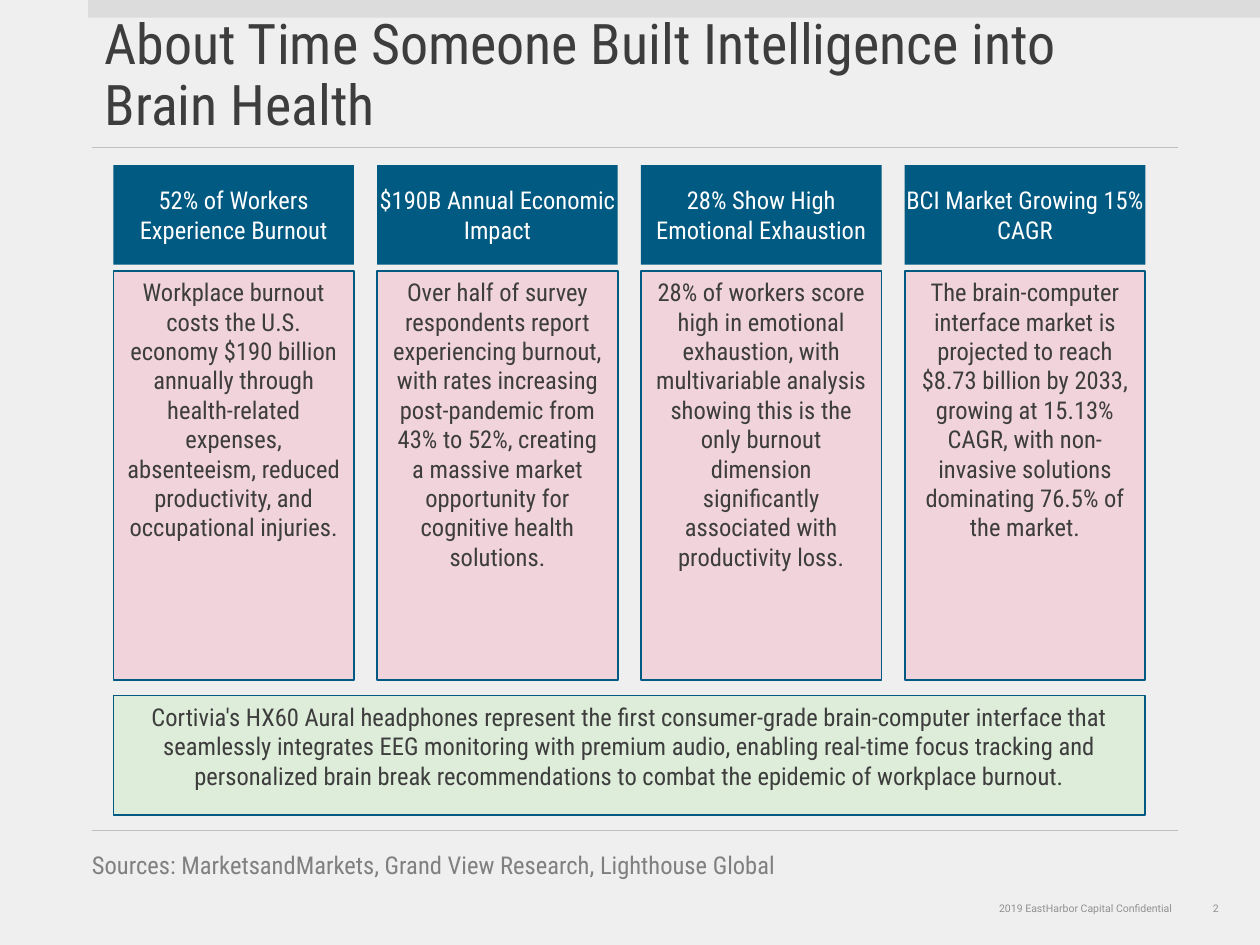
from dataclasses import dataclass

from lxml import etree
from pptx import Presentation
from pptx.dml.color import RGBColor
from pptx.enum.shapes import MSO_CONNECTOR, MSO_SHAPE
from pptx.enum.text import MSO_ANCHOR, MSO_AUTO_SIZE, PP_ALIGN
from pptx.oxml.ns import qn
from pptx.util import Inches, Pt

RECTANGLE = MSO_SHAPE.RECTANGLE
STRAIGHT = MSO_CONNECTOR.STRAIGHT
TOP, MIDDLE, BOTTOM = MSO_ANCHOR.TOP, MSO_ANCHOR.MIDDLE, MSO_ANCHOR.BOTTOM
LEFT, CENTER = PP_ALIGN.LEFT, PP_ALIGN.CENTER
NO_AUTOFIT = MSO_AUTO_SIZE.NONE
TITLE_ONLY = 5


@dataclass(frozen=True)
class Theme:
    background: str = "EFEFEF"
    band: str = "DCDCDC"
    rule: str = "BFBFBF"
    accent: str = "005A82"
    pink: str = "F783A3"
    green: str = "ACEA9B"
    text: str = "3D3D3D"
    white: str = "FFFFFF"
    source: str = "808080"
    footer: str = "919191"
    font: str = "Roboto Condensed"
    footer_font: str = "Roboto"
    title_size: int = 32
    body_size: int = 14
    footer_size: int = 6
    tint_opacity: int = 25


THEME = Theme()

TITLE = "About Time Someone Built Intelligence into Brain Health"
COLUMNS = [
    (
        "52% of Workers Experience Burnout",
        "Workplace burnout costs the U.S. economy $190 billion annually through "
        "health-related expenses, absenteeism, reduced productivity, and "
        "occupational injuries.",
    ),
    (
        "$190B Annual Economic Impact",
        "Over half of survey respondents report experiencing burnout, with rates "
        "increasing post-pandemic from 43% to 52%, creating a massive market "
        "opportunity for cognitive health solutions.",
    ),
    (
        "28% Show High Emotional Exhaustion",
        "28% of workers score high in emotional exhaustion, with multivariable "
        "analysis showing this is the only burnout dimension significantly "
        "associated with productivity loss.",
    ),
    (
        "BCI Market Growing 15% CAGR",
        "The brain-computer interface market is projected to reach $8.73 billion "
        "by 2033, growing at 15.13% CAGR, with non-invasive solutions dominating "
        "76.5% of the market.",
    ),
]
SUMMARY = (
    "Cortivia's HX60 Aural headphones represent the first consumer-grade "
    "brain-computer interface that seamlessly integrates EEG monitoring with "
    "premium audio, enabling real-time focus tracking and personalized brain "
    "break recommendations to combat the epidemic of workplace burnout."
)
SOURCES = "Sources: MarketsandMarkets, Grand View Research, Lighthouse Global"
FOOTER = "2019 EastHarbor Capital Confidential"

CONTENT_LEFT = 0.9
CONTENT_WIDTH = 8.19
COLUMN_WIDTH = 1.91
COLUMN_PITCH = (CONTENT_WIDTH - COLUMN_WIDTH) / (len(COLUMNS) - 1)
RULE_LEFT, RULE_RIGHT = 0.73, 9.35


def color(value):
    return RGBColor.from_string(value)


def write_text(frame, text, fill, size=THEME.body_size, font=THEME.font,
               align=LEFT, anchor=TOP, margins=(0, 0), wrap=True):
    frame.word_wrap = wrap
    frame.auto_size = NO_AUTOFIT
    frame.vertical_anchor = anchor
    frame.margin_left = frame.margin_right = Inches(margins[0])
    frame.margin_top = frame.margin_bottom = Inches(margins[1])
    paragraph = frame.paragraphs[0]
    paragraph.text = text
    paragraph.alignment = align
    paragraph.font.name = font
    paragraph.font.size = Pt(size)
    paragraph.font.color.rgb = color(fill)
    return paragraph


def add_block(slide, box, fill):
    shape = slide.shapes.add_shape(RECTANGLE, *map(Inches, box))
    shape.shadow.inherit = False
    shape.fill.solid()
    shape.fill.fore_color.rgb = color(fill)
    shape.line.fill.background()
    return shape


def add_header(slide, box, text):
    shape = add_block(slide, box, THEME.accent)
    write_text(shape.text_frame, text, THEME.white, align=CENTER, anchor=MIDDLE)


def add_panel(slide, box, text, fill):
    shape = add_block(slide, box, fill)
    fill_color = shape.fill._xPr.find(qn("a:solidFill"))[0]
    alpha = etree.SubElement(fill_color, qn("a:alpha"))
    alpha.set("val", str(THEME.tint_opacity * 1000))
    shape.line.color.rgb = color(THEME.accent)
    shape.line.width = Pt(1)
    write_text(shape.text_frame, text, THEME.text, align=CENTER, margins=(0.1, 0.05))


def add_rule(slide, top):
    ends = map(Inches, (RULE_LEFT, top, RULE_RIGHT, top))
    rule = slide.shapes.add_connector(STRAIGHT, *ends)
    rule.line.color.rgb = color(THEME.rule)
    rule.line.width = Pt(0.5)
    etree.SubElement(rule._element.spPr, qn("a:effectLst"))


def add_label(slide, box, text, fill, **style):
    label = slide.shapes.add_textbox(*map(Inches, box))
    write_text(label.text_frame, text, fill, **style)


def add_title(slide):
    title = slide.shapes.title
    title.left, title.top, title.width, title.height = map(
        Inches, (RULE_LEFT, 0.59, RULE_RIGHT - RULE_LEFT, 0.55))
    paragraph = write_text(title.text_frame, TITLE, THEME.text, size=THEME.title_size,
                           anchor=BOTTOM, margins=(0.1, 0.05))
    paragraph.line_spacing = 0.9


def add_footer(slide):
    style = {"size": THEME.footer_size, "font": THEME.footer_font, "wrap": False}
    add_label(slide, (7.93, 7.16, 1.4, 0.1), FOOTER, THEME.footer, **style)
    add_label(slide, (9.6, 7.16, 0.1, 0.1), "2", THEME.footer, align=CENTER, **style)


def main():
    presentation = Presentation()
    presentation.slide_width, presentation.slide_height = Inches(10), Inches(7.5)
    slide = presentation.slides.add_slide(presentation.slide_layouts[TITLE_ONLY])
    slide.background.fill.solid()
    slide.background.fill.fore_color.rgb = color(THEME.background)

    add_block(slide, (0.7, 0, 9.3, 0.14), THEME.band)
    add_title(slide)
    for top in (1.17, 6.59):
        add_rule(slide, top)
    for index, (heading, detail) in enumerate(COLUMNS):
        left = CONTENT_LEFT + index * COLUMN_PITCH
        add_panel(slide, (left, 2.15, COLUMN_WIDTH, 3.25), detail, THEME.pink)
        add_header(slide, (left, 1.31, COLUMN_WIDTH, 0.79), heading)
    add_panel(slide, (CONTENT_LEFT, 5.52, CONTENT_WIDTH, 0.95), SUMMARY, THEME.green)
    add_label(slide, (RULE_LEFT, 6.75, 6.93, 0.76), SOURCES, THEME.source)
    add_footer(slide)

    presentation.save("out.pptx")


if __name__ == "__main__":
    main()
